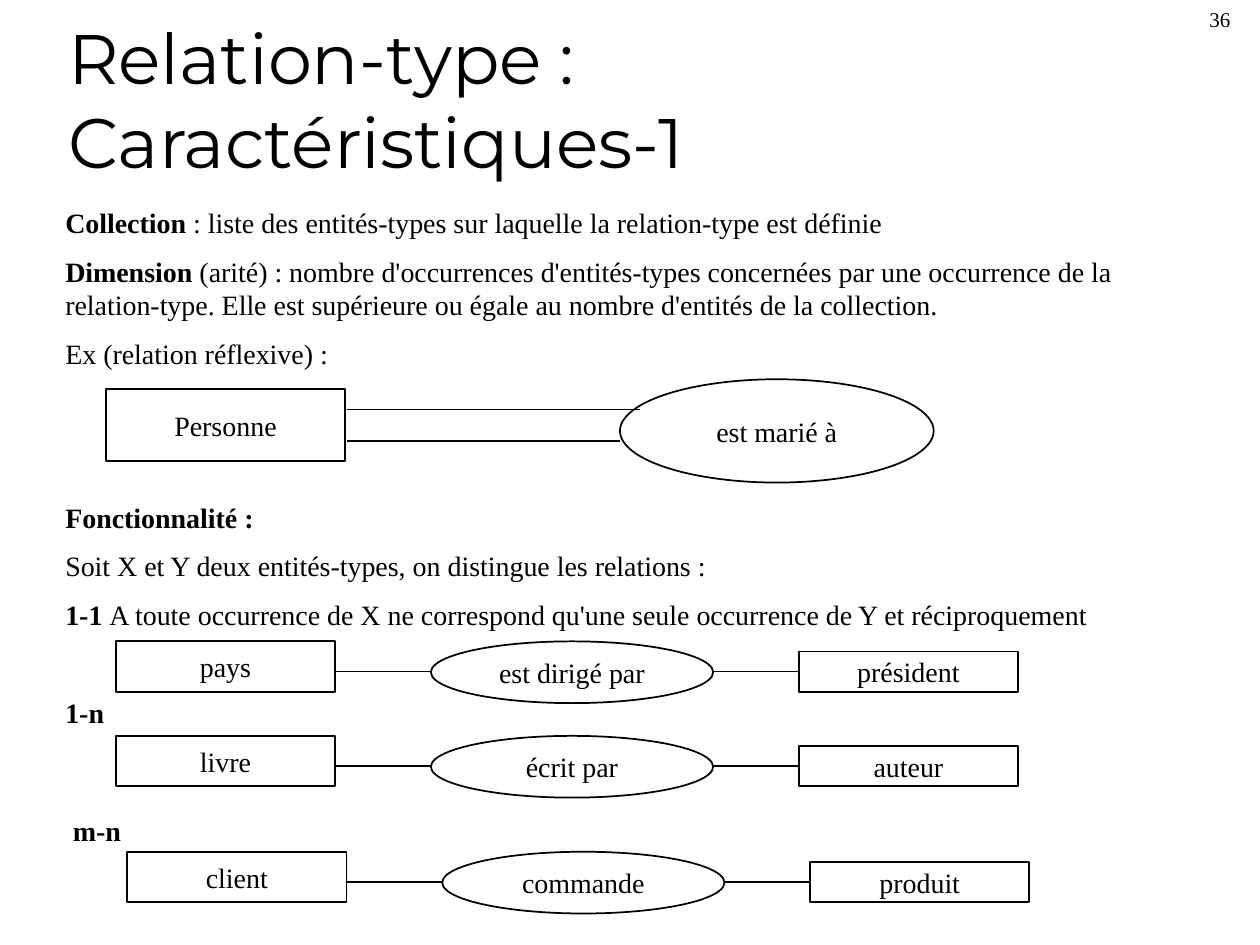
from pptx import Presentation
from pptx.dml.color import RGBColor
from pptx.enum.shapes import MSO_CONNECTOR, MSO_SHAPE
from pptx.enum.text import MSO_ANCHOR, MSO_AUTO_SIZE, PP_ALIGN
from pptx.oxml.ns import qn
from pptx.util import Inches, Pt
from lxml import etree

BLACK = "000000"
WHITE = "FFFFFF"
BODY_FONT = "Times New Roman"
GAP = 8.7


def color(value):
    return RGBColor.from_string(value)


def set_font(p, size=16, name=BODY_FONT):
    p.font.size = Pt(size)
    p.font.name = name
    p.font.color.rgb = color(BLACK)


def add_title(s, left, top, width, height, text):
    sp = s.shapes.title
    sp.left, sp.top = Inches(left), Inches(top)
    sp.width, sp.height = Inches(width), Inches(height)
    tf = sp.text_frame
    tf.text = text
    tf.auto_size = MSO_AUTO_SIZE.NONE
    tf.vertical_anchor = MSO_ANCHOR.BOTTOM
    p = tf.paragraphs[0]
    p.alignment = PP_ALIGN.LEFT
    set_font(p, 40, "Montserrat")


def add_text(s, left, top, width, height, paragraphs, size=16, wrap=True):
    sp = s.shapes.add_textbox(Inches(left), Inches(top), Inches(width), Inches(height))
    tf = sp.text_frame
    tf.word_wrap = wrap
    for i, (bold, plain, space) in enumerate(paragraphs):
        p = tf.paragraphs[0] if i == 0 else tf.add_paragraph()
        p.space_before = Pt(space)
        set_font(p, size)
        for text, is_bold in ((bold, True), (plain, False)):
            if text:
                r = p.add_run()
                r.text = text
                r.font.bold = is_bold
    return sp


def add_node(s, kind, left, top, width, height, text, fill=None):
    sp = s.shapes.add_shape(kind, Inches(left), Inches(top), Inches(width), Inches(height))
    sp.shadow.inherit = False
    if fill:
        sp.fill.solid()
        sp.fill.fore_color.rgb = color(fill)
    else:
        sp.fill.background()
    sp.line.color.rgb = color(BLACK)
    sp.line.width = Pt(1)
    tf = sp.text_frame
    tf.text = text
    tf.word_wrap = False
    tf.vertical_anchor = MSO_ANCHOR.MIDDLE
    p = tf.paragraphs[0]
    p.alignment = PP_ALIGN.CENTER
    set_font(p)
    return sp


def add_line(s, x1, x2, y):
    line = s.shapes.add_connector(
        MSO_CONNECTOR.STRAIGHT, Inches(x1), Inches(y), Inches(x2), Inches(y))
    line.line.color.rgb = color(BLACK)
    line.line.width = Pt(1)
    etree.SubElement(line._element.spPr, qn("a:effectLst"))
    return line


def add_reflexive_relation(s, left, top, entity, relation):
    add_node(s, MSO_SHAPE.RECTANGLE, left, top + 0.08, 1.9, 0.57, entity)
    add_node(s, MSO_SHAPE.OVAL, left + 4.08, top, 2.49, 0.82, relation, WHITE)
    add_line(s, left + 1.91, left + 4.24, top + 0.24)
    add_line(s, left + 1.91, left + 4.08, top + 0.49)


def add_binary_relation(s, left, top, entity, relation, partner):
    add_node(s, MSO_SHAPE.RECTANGLE, left, top, 1.74, 0.4, entity)
    target = add_node(s, MSO_SHAPE.RECTANGLE, left + 5.42, top + 0.08, 1.74, 0.32, partner)
    add_node(s, MSO_SHAPE.OVAL, left + 2.5, top, 2.24, 0.49, relation)
    add_line(s, left + 1.74, left + 2.5, top + 0.24)
    line = add_line(s, left + 4.74, left + 5.42, top + 0.24)
    line.end_connect(target, 1)


def main():
    prs = Presentation()
    prs.slide_width, prs.slide_height = Inches(10), Inches(7.5)
    s = prs.slides.add_slide(prs.slide_layouts[5])

    add_title(s, 0.44, 0.25, 8.5, 1.25, "Relation-type : Caractéristiques-1")
    add_text(s, 0.42, 1.58, 9.17, 1.84, [
        ("Collection", " : liste des entités-types sur laquelle la relation-type est définie", 0),
        ("Dimension", " (arité) : nombre d'occurrences d'entités-types concernées par une "
         "occurrence de la relation-type. Elle est supérieure ou égale au nombre d'entités "
         "de la collection.", GAP),
        ("", "Ex (relation réflexive) :", GAP),
    ])
    add_reflexive_relation(s, 0.84, 3.01, "Personne", "est marié à")

    sp = add_text(s, 0.42, 3.92, 8.67, 1.97, [
        ("Fonctionnalité :", "", 0),
        ("", "Soit X et Y deux entités-types, on distingue les relations :", GAP),
        ("1-1 ", "A toute occurrence de X ne correspond qu'une seule occurrence de Y "
         "et réciproquement", GAP),
        ("1-n", "", 36.5),
    ])
    sp.fill.solid()
    sp.fill.fore_color.rgb = color(WHITE)

    add_binary_relation(s, 0.92, 5.09, "pays", "est dirigé par", "président")
    add_binary_relation(s, 0.92, 5.84, "livre", "écrit par", "auteur")
    add_text(s, 0.48, 6.41, 0.58, 0.37, [("m-n", "", 0)], wrap=False)
    add_binary_relation(s, 1.01, 6.76, "client", "commande", "produit")
    add_text(s, 9.5, 0, 0.5, 0.3, [("", "36", 0)], size=12)

    prs.save("out.pptx")


if __name__ == "__main__":
    main()
